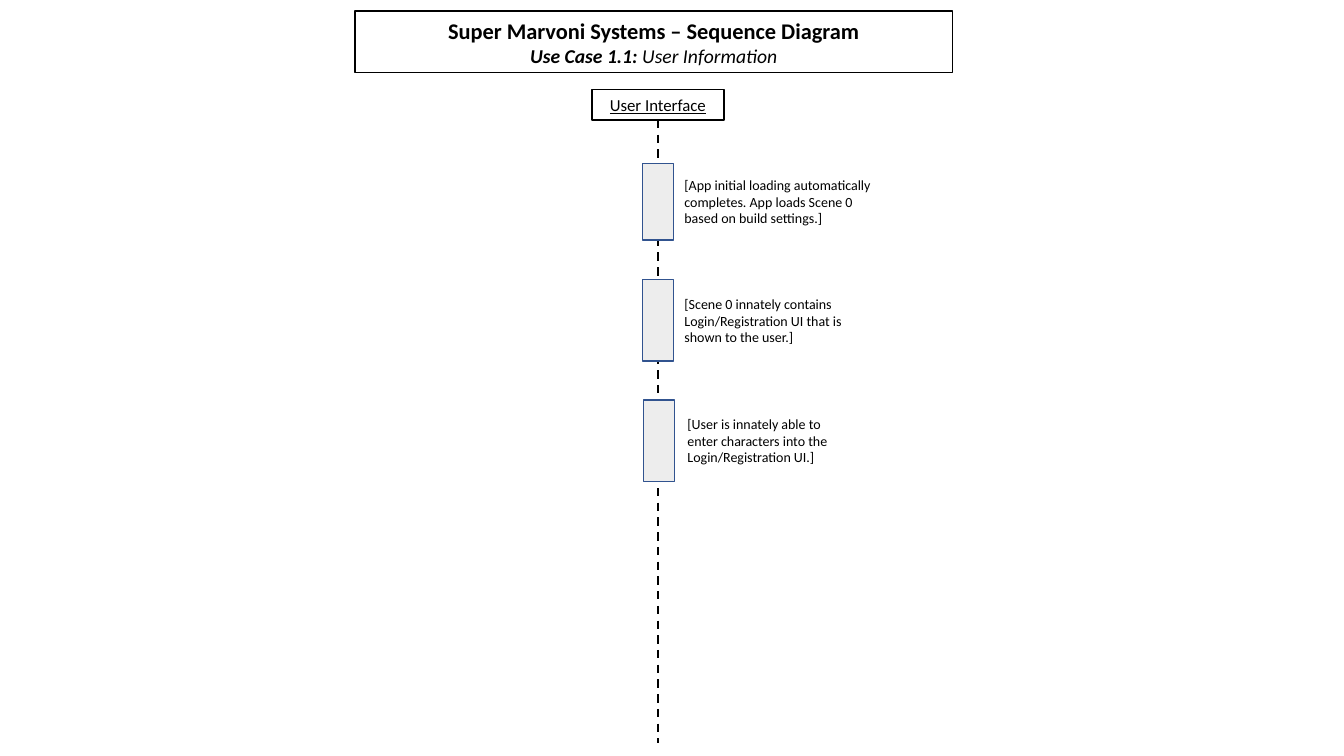
import pptx
import pptx.dml.color
import pptx.enum.dml
import pptx.enum.shapes
import pptx.enum.text
import pptx.oxml.ns
import pptx.util
from pptx.util import Inches

BLACK = "000000"
ACTIVATIONS = [
    ((6.37, 1.62, 0.31, 0.76), (6.69, 1.7, 2.06, 0.61),
     "[App initial loading automatically completes. App loads Scene 0 based on build settings.]"),
    ((6.37, 2.77, 0.31, 0.81), (6.69, 2.88, 1.95, 0.61),
     "[Scene 0 innately contains Login/Registration UI that is shown to the user.]"),
    ((6.38, 3.97, 0.31, 0.81), (6.72, 4.07, 1.68, 0.61),
     "[User is innately able to enter characters into the Login/Registration UI.]"),
]


def color(value):
    """Turn a hex string into a colour."""
    return pptx.dml.color.RGBColor.from_string(value)


def add_span(para, text, **formats):
    """Append formatted text to a paragraph."""
    span = para.add_run()
    span.text = text
    span.font.color.rgb = color(BLACK)
    for name, value in ({"name": "Calibri"} | formats).items():
        setattr(span.font, name, value)


def add_box(page, place, line, fill=None):
    """Add an outlined rectangle, filled when a colour is given."""
    box = page.shapes.add_shape(
        pptx.enum.shapes.MSO_SHAPE.RECTANGLE, *map(Inches, place))
    box.shadow.inherit = False
    if fill:
        box.fill.solid()
        box.fill.fore_color.rgb = color(fill)
    else:
        box.fill.background()
    box.line.color.rgb = color(line)
    box.line.width = pptx.util.Pt(1)
    return box


def add_heading(page, place):
    """Add an outlined box and return it with its centred paragraph."""
    box = add_box(page, place, BLACK)
    box.text_frame.word_wrap = True
    para = box.text_frame.paragraphs[0]
    para.alignment = pptx.enum.text.PP_ALIGN.CENTER
    return box, para


def add_lifeline(page, header, bottom):
    """Drop a dashed line from the middle of the header's lower side."""
    center = header.left + header.width // 2
    line = page.shapes.add_connector(
        pptx.enum.shapes.MSO_CONNECTOR.STRAIGHT,
        center, header.top + header.height, center, Inches(bottom))
    line.begin_connect(header, 2)
    line.line.color.rgb = color(BLACK)
    line.line.width = pptx.util.Pt(1.5)
    line.line.dash_style = pptx.enum.dml.MSO_LINE.DASH
    properties = line._element.spPr
    properties.append(properties.makeelement(pptx.oxml.ns.qn("a:effectLst"), {}))


def add_note(page, place, text):
    """Add a wrapped note beside an activation bar."""
    note = page.shapes.add_textbox(*map(Inches, place))
    note.text_frame.word_wrap = True
    add_span(note.text_frame.paragraphs[0], text, size=pptx.util.Pt(10))


def main():
    """Build the sequence diagram and save it."""
    deck = pptx.Presentation()
    deck.slide_width, deck.slide_height = Inches(13.33), Inches(7.5)
    page = deck.slides.add_slide(deck.slide_layouts[6])

    title, para = add_heading(page, (3.52, 0.11, 5.93, 0.61))
    add_span(para, "Super Marvoni Systems – Sequence Diagram",
             size=pptx.util.Pt(16), bold=True)
    para.add_line_break()
    subtitle = {"size": pptx.util.Pt(14), "italic": True}
    add_span(para, "Use Case 1.1: ", bold=True, **subtitle)
    add_span(para, "User Information", **subtitle)

    header, para = add_heading(page, (5.87, 0.89, 1.31, 0.3))
    add_span(para, "User Interface", size=pptx.util.Pt(12), underline=True)
    add_lifeline(page, header, 7.37)

    for bar_place, note_place, text in ACTIVATIONS:
        add_box(page, bar_place, "31538F", "EDEDED")
        add_note(page, note_place, text)

    deck.save("out.pptx")


if __name__ == "__main__":
    main()
